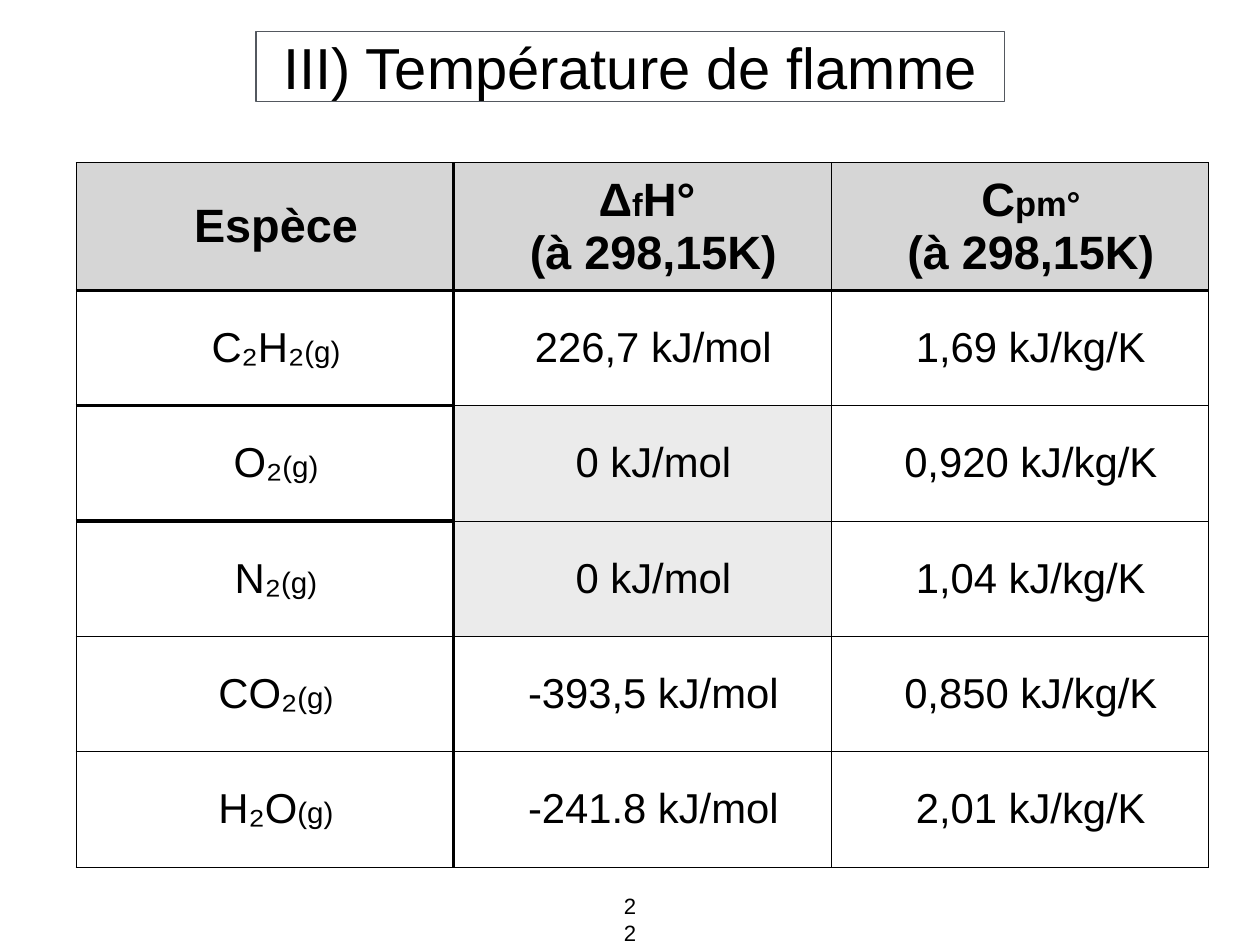
from lxml.etree import SubElement
from pptx import Presentation
from pptx.dml.color import RGBColor
from pptx.enum.text import MSO_ANCHOR as Anchor, PP_ALIGN as Align
from pptx.oxml.ns import qn
from pptx.util import Pt

PX = 9144  # EMU per px, 100 px to the inch
FONT = "Arial"
COLORS = {
    "text": "000000",
    "border": "000000",
    "title_line": "53585F",
    "header": "D6D6D6",
    "plain": "FFFFFF",
    "zero": "EBEBEB",
}
HEADER_SIZE, BODY_SIZE, STATE_SIZE = 38, 34, 24
MARGIN, INDENT = 7, 25

# Each header cell is a list of lines, each line a list of (text, size)
CONDITION = [("(à 298,15K)", HEADER_SIZE)]
HEADERS = [
    [[("Espèce", HEADER_SIZE)]],
    [[("Δ", HEADER_SIZE), ("f", 26), ("H° ", HEADER_SIZE)], CONDITION],
    [[("C", HEADER_SIZE), ("pm°", 28)], CONDITION],
]
SPECIES = [
    ("C₂H₂", "226,7 kJ/mol", "1,69 kJ/kg/K"),
    ("O₂", "0 kJ/mol", "0,920 kJ/kg/K"),
    ("N₂", "0 kJ/mol", "1,04 kJ/kg/K"),
    ("CO₂", "-393,5 kJ/mol", "0,850 kJ/kg/K"),
    ("H₂O", "-241.8 kJ/mol", "2,01 kJ/kg/K"),
]


def rgb(name):
    return RGBColor.from_string(COLORS[name])


def emu(box):
    return [length * PX for length in box]


def write_line(paragraph, runs, bold=False):
    """Write (text, size) runs in a centred paragraph."""
    size = runs[0][1]
    paragraph.alignment = Align.CENTER
    font = paragraph.font
    font.name, font.size, font.bold = FONT, Pt(size), bold
    font.color.rgb = rgb("text")
    for text, run_size in runs:
        run = paragraph.add_run()
        run.text = text
        if run_size != size:
            run.font.size = Pt(run_size)


def clear_margins(frame):
    frame.margin_left = frame.margin_right = 0
    frame.margin_top = frame.margin_bottom = 0
    frame.word_wrap = True


def add_title(slide, box):
    title = slide.shapes.title
    title.left, title.top, title.width, title.height = emu(box)
    title.line.color.rgb = rgb("title_line")
    title.line.width = Pt(1)
    frame = title.text_frame
    clear_margins(frame)
    frame.vertical_anchor = Anchor.MIDDLE
    write_line(frame.paragraphs[0], [("III) Température de flamme", 47)])


def add_page_number(slide, box):
    frame = slide.shapes.add_textbox(*emu(box)).text_frame
    clear_margins(frame)
    write_line(frame.paragraphs[0], [("22", 18)])


def thick_below(row, column):
    return row == 0 or (column == 0 and row in (1, 2))


def set_borders(cell, row, column):
    thick_sides = {
        "a:lnL": column == 1,
        "a:lnR": column == 0,
        "a:lnT": row > 0 and thick_below(row - 1, column),
        "a:lnB": thick_below(row, column),
    }
    properties = cell._tc.get_or_add_tcPr()
    for tag, thick in thick_sides.items():
        line = SubElement(properties, qn(tag), w=str(Pt(3 if thick else 1)))
        fill = SubElement(line, qn("a:solidFill"))
        SubElement(fill, qn("a:srgbClr"), val=COLORS["border"])


def fill_cell(cell, lines, fill, bold):
    cell.margin_left = cell.margin_right = MARGIN * PX
    cell.margin_top = cell.margin_bottom = MARGIN * PX
    cell.vertical_anchor = Anchor.MIDDLE
    cell.fill.solid()
    cell.fill.fore_color.rgb = rgb(fill)
    frame = cell.text_frame
    for index, runs in enumerate(lines):
        paragraph = frame.add_paragraph() if index else frame.paragraphs[0]
        write_line(paragraph, runs, bold)
        properties = paragraph._p.get_or_add_pPr()
        properties.set("marL", "0")
        properties.set("indent", str(INDENT * PX))


def species_cells(species, enthalpy, capacity):
    return [
        [[(species, BODY_SIZE), ("(g)", STATE_SIZE)]],
        [[(enthalpy, BODY_SIZE)]],
        [[(capacity, BODY_SIZE)]],
    ]


def add_species_table(slide, box, header_height):
    rows = [HEADERS] + [species_cells(*species) for species in SPECIES]
    left, top, width, height = box
    table = slide.shapes.add_table(len(rows), len(HEADERS), *emu(box)).table
    table.first_row = table.horz_banding = False
    for column in table.columns:
        column.width = width * PX // len(HEADERS)
    for row in table.rows:
        row.height = (height - header_height) * PX // len(SPECIES)
    table.rows[0].height = header_height * PX

    for row, cells in enumerate(rows):
        for column, lines in enumerate(cells):
            cell = table.cell(row, column)
            is_zero = lines[0][0][0] == "0 kJ/mol"
            fill = "header" if row == 0 else "zero" if is_zero else "plain"
            set_borders(cell, row, column)
            fill_cell(cell, lines, fill, bold=row == 0)


def main():
    presentation = Presentation()
    presentation.slide_width, presentation.slide_height = emu((1422, 1067))
    slide = presentation.slides.add_slide(presentation.slide_layouts[5])
    add_title(slide, (289, 36, 845, 79))
    add_species_table(slide, (86, 184, 1278, 795), header_height=144)
    add_page_number(slide, (698, 1008, 26, 31))
    presentation.save("out.pptx")


if __name__ == "__main__":
    main()
